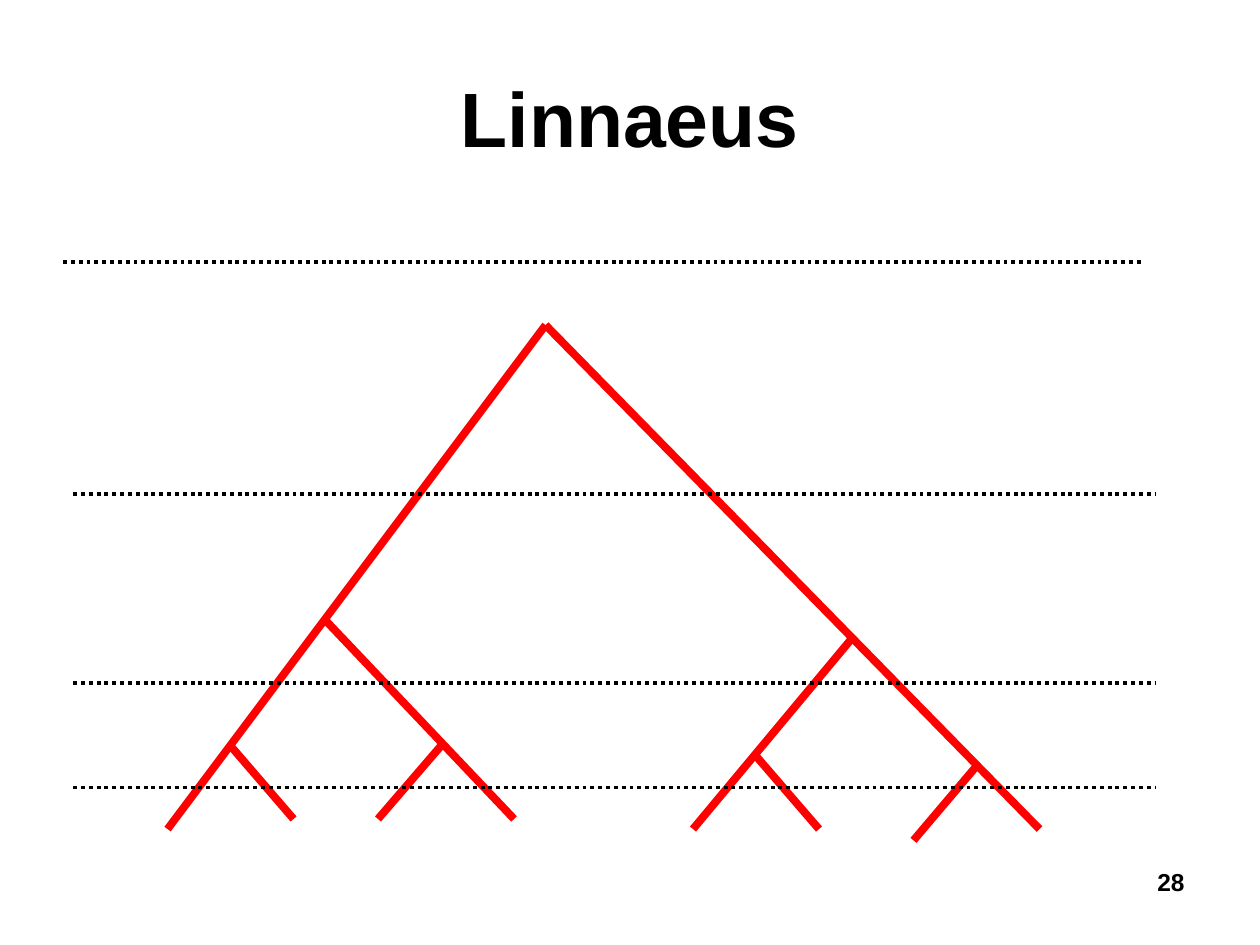
from typing import NamedTuple

from pptx import Presentation
from pptx.dml.color import RGBColor
from pptx.enum import dml, shapes, text
from pptx.oxml.ns import qn
from pptx.util import Inches, Pt
from lxml import etree

COLORS = {"ink": "000000", "branch": "FF0000"}


class Segment(NamedTuple):
    """A straight line from one point to another, in inches."""
    x1: float
    y1: float
    x2: float
    y2: float


class Label(NamedTuple):
    """A bold line of text and its box, in inches."""
    wording: str
    left: float
    top: float
    width: float
    height: float
    size: int
    align: text.PP_ALIGN
    anchor: text.MSO_ANCHOR


BRANCHES = [
    Segment(4.33, 2.58, 8.25, 6.58),
    Segment(4.33, 2.58, 1.33, 6.58),
    Segment(2.58, 4.92, 4.08, 6.5),
    Segment(6.75, 5.08, 5.5, 6.58),
    Segment(1.83, 5.92, 2.33, 6.5),
    Segment(3.5, 5.92, 3, 6.5),
    Segment(6, 6, 6.5, 6.58),
    Segment(7.75, 6.08, 7.25, 6.67),
]
RANKS = [Segment(0.5, 2.08, 9.08, 2.08)] + [
    Segment(0.58, y, 9.17, y) for y in (3.92, 5.42, 6.25)
]
HEADING = Label("Linnaeus", 0.5, 0.3, 9, 1.25, 44,
                text.PP_ALIGN.CENTER, text.MSO_ANCHOR.MIDDLE)
PAGE_NUMBER = Label("28", 7.17, 6.83, 2.33, 0.52, 14,
                    text.PP_ALIGN.RIGHT, text.MSO_ANCHOR.TOP)


def draw_segment(slide, segment: Segment, color: str, weight: float,
                 dash: dml.MSO_LINE | None = None) -> None:
    """Draw one straight line without a shadow."""
    stroke = slide.shapes.add_connector(
        shapes.MSO_CONNECTOR.STRAIGHT, *(Inches(v) for v in segment))
    stroke.line.color.rgb = RGBColor.from_string(COLORS[color])
    stroke.line.width = Pt(weight)
    if dash is not None:
        stroke.line.dash_style = dash
    etree.SubElement(stroke._element.spPr, qn("a:effectLst"))


def draw_label(slide, label: Label) -> None:
    """Write one bold line of text in its box."""
    box = slide.shapes.add_textbox(
        Inches(label.left), Inches(label.top),
        Inches(label.width), Inches(label.height))
    frame = box.text_frame
    frame.word_wrap = True
    frame.vertical_anchor = label.anchor
    line = frame.paragraphs[0]
    line.alignment = label.align
    run = line.add_run()
    run.text = label.wording
    run.font.name = "Arial"
    run.font.size = Pt(label.size)
    run.font.bold = True
    run.font.color.rgb = RGBColor.from_string(COLORS["ink"])


def main() -> None:
    """Build the slide and save it."""
    deck = Presentation()
    deck.slide_width, deck.slide_height = Inches(10), Inches(7.5)
    slide = deck.slides.add_slide(deck.slide_layouts[6])
    draw_label(slide, HEADING)
    for branch in BRANCHES:
        draw_segment(slide, branch, "branch", 4.5)
    for rank in RANKS:
        draw_segment(slide, rank, "ink", 2.25, dml.MSO_LINE.ROUND_DOT)
    draw_label(slide, PAGE_NUMBER)
    deck.save("out.pptx")


if __name__ == "__main__":
    main()
